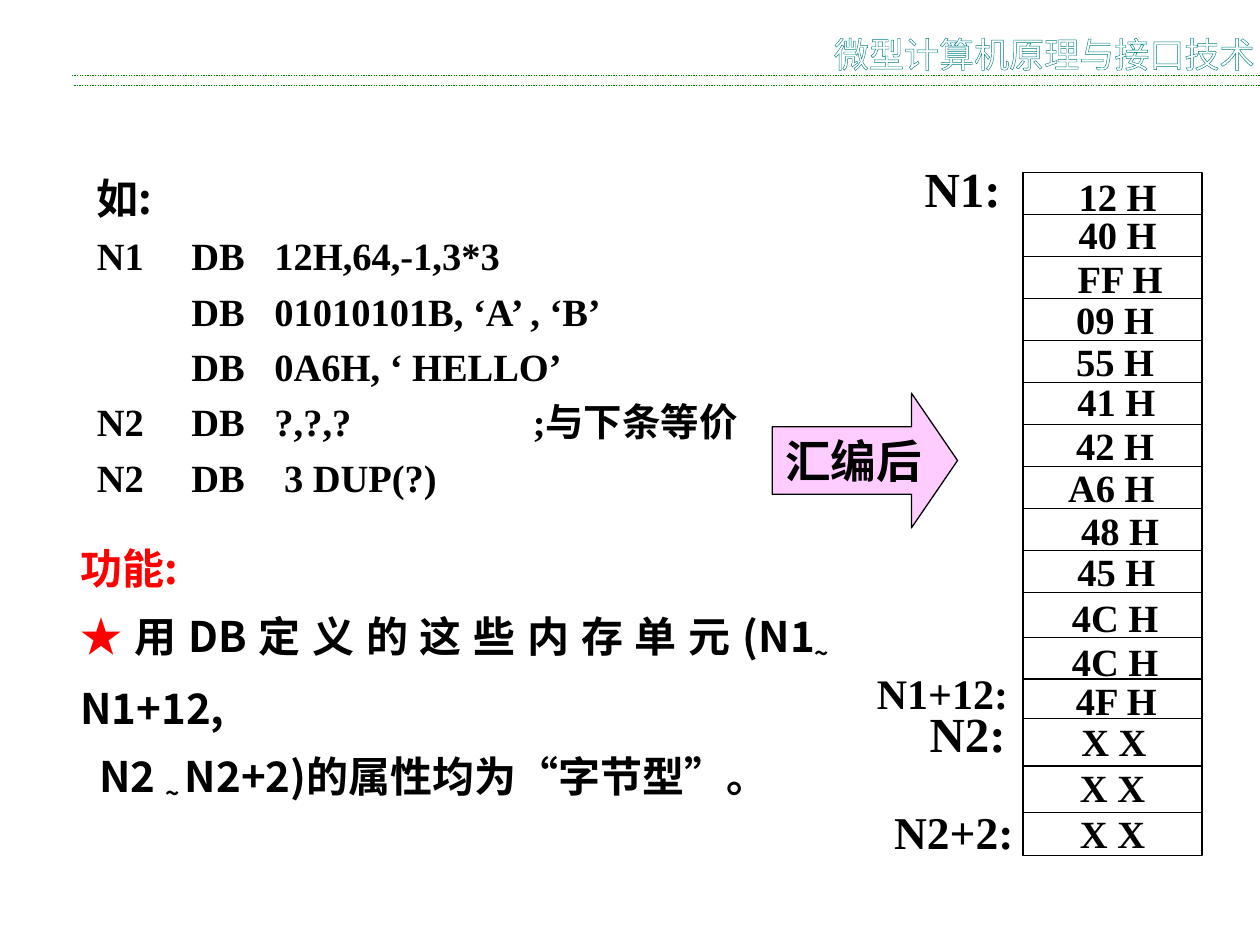
from dataclasses import dataclass
from lxml import etree
from pptx import Presentation
from pptx.dml.color import RGBColor
from pptx.enum import dml, shapes, text
from pptx.oxml import ns
from pptx.util import Inches, Pt


@dataclass(frozen=True)
class Theme:
    black: str = "000000"
    white: str = "FFFFFF"
    red: str = "FF0000"
    pink: str = "FFCCFF"
    teal: str = "008080"
    green: str = "008000"
    serif: str = "Times New Roman"
    sans: str = "Noto Sans CJK SC"
    symbol: str = "Arial"
    header: float = 20
    code: float = 22
    body: float = 24
    callout: float = 26
    label: float = 28
    stroke: float = 0.75


T = Theme()


def write(p, value, size=T.code, color=T.black, font=T.serif, bold=True, base=0):
    r = p.add_run()
    r.text = value
    r.font.size = Pt(size)
    r.font.bold = bold
    r.font.color.rgb = RGBColor.from_string(color)
    r.font.name = font
    rPr = r.font._element
    ea = etree.SubElement(rPr, ns.qn("a:ea"))
    ea.set("typeface", T.sans if font == T.serif else font)
    if base:
        rPr.set("baseline", str(base * 1000))
    return r


def add_box(x, y, w, h, wrap=False, anchor=text.MSO_ANCHOR.TOP):
    tf = s.shapes.add_textbox(Inches(x), Inches(y), Inches(w), Inches(h)).text_frame
    tf.word_wrap = wrap
    tf.vertical_anchor = anchor
    return tf


prs = Presentation()
prs.slide_width, prs.slide_height = Inches(10), Inches(7.5)
s = prs.slides.add_slide(prs.slide_layouts[6])

tf = add_box(6.52, 0.21, 3.48, 0.4)
tf.margin_right = 0
r = write(tf.paragraphs[0], "微型计算机原理与接口技术", size=T.header,
          color=T.white, font=T.sans, bold=False)
ln = etree.Element(ns.qn("a:ln"), w=str(Pt(T.stroke)))
fill = etree.SubElement(ln, ns.qn("a:solidFill"))
etree.SubElement(fill, ns.qn("a:srgbClr"), val=T.teal)
r.font._element.insert(0, ln)

tf = add_box(0.67, 1.24, 5.42, 2.78, wrap=True)
code = [
    "如:",
    "N1\tDB\t12H,64,-1,3*3",
    "\tDB\t01010101B, ‘A’ , ‘B’",
    "\tDB\t0A6H, ‘ HELLO’",
    "N2\tDB\t?,?,?\t;与下条等价",
    "N2\tDB\t 3 DUP(?)",
]
for i, row in enumerate(code):
    p = tf.add_paragraph() if i else tf.paragraphs[0]
    p.line_spacing = 1.2
    tabs = etree.SubElement(p._p.get_or_add_pPr(), ns.qn("a:tabLst"))
    for stop in (0.75, 1.41, 3.46):
        etree.SubElement(tabs, ns.qn("a:tab"), pos=str(Inches(stop)), algn="l")
    if i:
        write(p, row)
    else:
        write(p, row, size=T.body, font=T.sans)

tf = add_box(0.54, 4.14, 6.14, 2.32, wrap=True)
function = [
    [("功能:", dict(color=T.red))],
    [("★", dict(color=T.red, font=T.symbol)), ("用DB定义的这些内存单元(N1", {}),
     ("~ ", dict(base=-25)), ("N1+12,", {})],
    [("N2 ", {}), ("~ ", dict(base=-25)), ("N2+2)的属性均为“字节型”。", {})],
]
for i, runs in enumerate(function):
    p = tf.add_paragraph() if i else tf.paragraphs[0]
    p.line_spacing = 1.3
    p.alignment = text.PP_ALIGN.JUSTIFY
    for value, style in runs:
        write(p, value, **{"size": T.body, "font": T.sans, **style})
p._p.get_or_add_pPr().set("marL", str(Inches(0.15)))

arrow = s.shapes.add_shape(shapes.MSO_SHAPE.RIGHT_ARROW, Inches(6.13), Inches(3.12),
                           Inches(1.47), Inches(1.07))
arrow.adjustments[0], arrow.adjustments[1] = 0.5, 0.342
arrow.fill.solid()
arrow.fill.fore_color.rgb = RGBColor.from_string(T.pink)
arrow.text_frame.word_wrap = False
arrow.text_frame.vertical_anchor = text.MSO_ANCHOR.MIDDLE
p = arrow.text_frame.paragraphs[0]
p.alignment = text.PP_ALIGN.CENTER
write(p, "汇编后", size=T.callout)

left, top, width, height = 8.12, 1.37, 1.42, 5.42
memory = s.shapes.add_shape(shapes.MSO_SHAPE.RECTANGLE, Inches(left), Inches(top),
                            Inches(width), Inches(height))
memory.fill.background()
for sp in (arrow, memory):
    sp.shadow.inherit = False
    sp.line.color.rgb = RGBColor.from_string(T.black)
    sp.line.width = Pt(T.stroke)

dividers = [top + i / 3 for i in range(1, 11)] + [5.06, 5.39, 5.7, 6.08, 6.45]
rules = [(0.57, 10, 0.6, T.green), (0.59, 10, 0.68, T.green)]
rules += [(left, left + width, y, T.black) for y in dividers]
for x1, x2, y, color in rules:
    line = s.shapes.add_connector(shapes.MSO_CONNECTOR.STRAIGHT,
                                  Inches(x1), Inches(y), Inches(x2), Inches(y))
    line.line.color.rgb = RGBColor.from_string(color)
    line.line.width = Pt(T.stroke)
    if color == T.green:
        line.line.dash_style = dml.MSO_LINE.ROUND_DOT
    etree.SubElement(line._element.spPr, ns.qn("a:effectLst"))

cells = [
    ("12 H", 8.87, 1.32), ("40 H", 8.87, 1.62), ("FF H", 8.89, 1.97),
    ("09 H", 8.85, 2.3), ("55 H", 8.85, 2.63), ("41 H", 8.86, 2.95),
    ("42 H", 8.85, 3.3), ("A6 H", 8.82, 3.63), ("48 H", 8.89, 3.97),
    ("45 H", 8.86, 4.3), ("4C H", 8.85, 4.66), ("4C H", 8.85, 5.01),
    ("4F H", 8.86, 5.32), ("X X", 8.84, 5.65), ("X X", 8.83, 6.01),
    ("X X", 8.83, 6.38),
]
labels = [
    ("N1:", 7.64, 1.24, T.label), ("N2:", 7.68, 5.57, T.label),
    ("N1+12:", 7.48, 5.25, T.body), ("N2+2:", 7.57, 6.35, T.callout),
]
for value, center, y, size in [(*cell, T.code) for cell in cells] + labels:
    tf = add_box(center - 0.62, y, 1.24, 0.47 if size == T.code else 0.5,
                 anchor=text.MSO_ANCHOR.MIDDLE)
    p = tf.paragraphs[0]
    p.alignment = text.PP_ALIGN.CENTER
    write(p, value, size=size)

prs.save("out.pptx")
